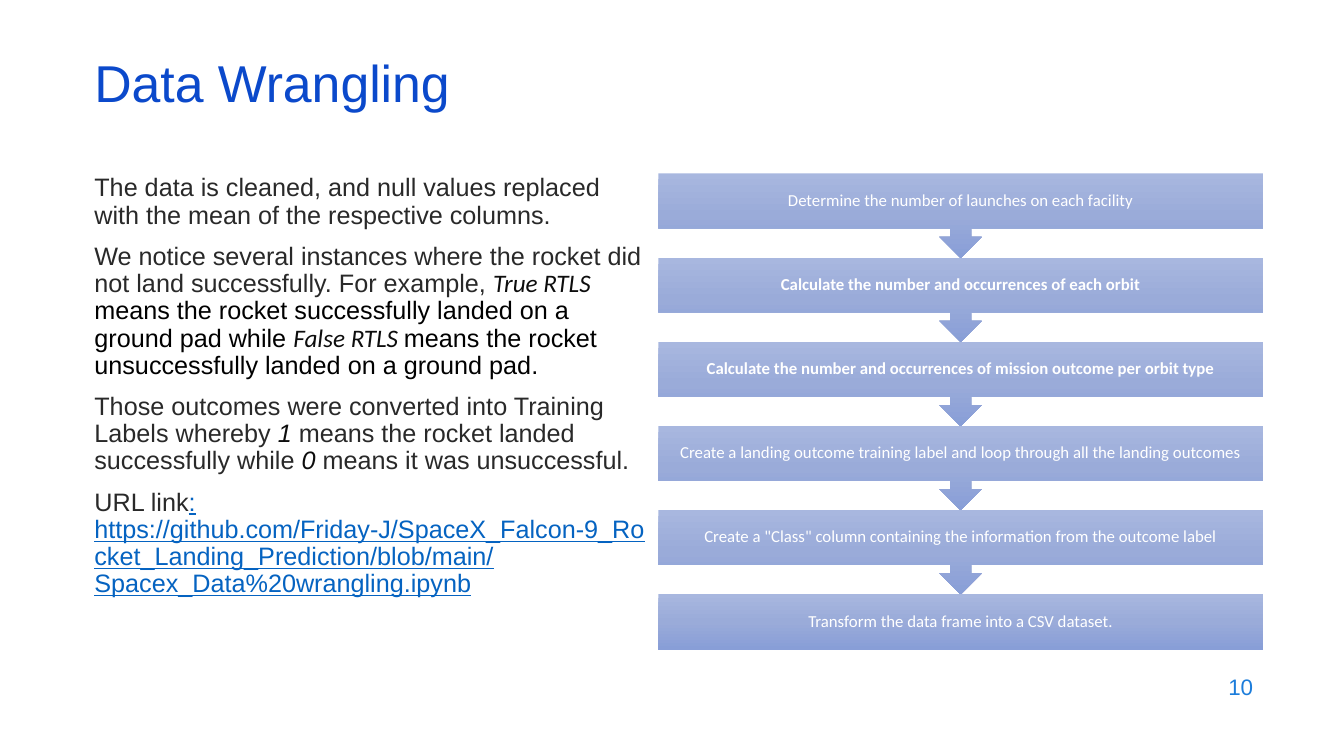
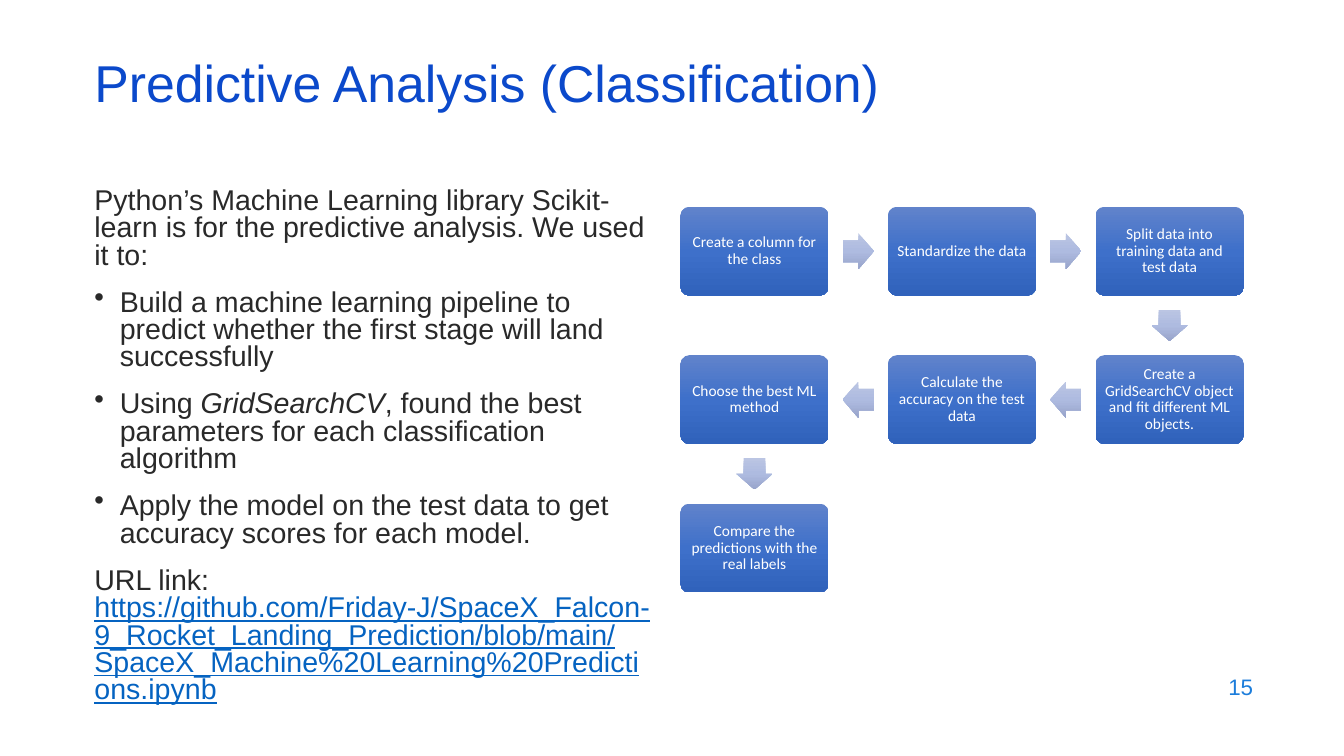
from copy import deepcopy

from lxml.etree import SubElement
from pptx import Presentation
from pptx.dml.color import RGBColor
from pptx.enum.shapes import MSO_SHAPE as Preset
from pptx.enum.text import MSO_ANCHOR as Anchor, PP_ALIGN as Align
from pptx.oxml.ns import qn
from pptx.util import Cm, Pt

# Shared look
FONT, DIAGRAM_FONT = "Arial", "Calibri"
TITLE, NUMBER, BODY, WHITE = "0B49CB", "1C7DDB", "292929", "FFFFFF"
STEP_GRADIENT = ("A8B7DF", "9AABD9", "889ED7")
CARD_GRADIENT = ("6183CB", "3E70CA", "3062BB")
ARROW_GRADIENT = ("BBC5E3", "AEBBE0", "98A4CB")
LEFT = 2.13
BULLET_INDENT = Cm(0.64)

# Run styles used inside body text
RUN_STYLES = {
    "term": {"name": DIAGRAM_FONT, "color": "0D0D0D", "italic": True},
    "black": {"color": "000000"},
    "label": {"color": "0D0D0D", "italic": True},
    "italic": {"italic": True},
    "link": {"color": "0563C1", "underline": True},
}

# Content: a paragraph is (is_bullet, runs), a run is (text, style)
WRANGLING_TEXT = [
    (False, [("The data is cleaned, and null values replaced with the mean "
              "of the respective columns.", None)]),
    (False, [("We notice several instances where the rocket did not land "
              "successfully. For example, ", None),
             ("True RTLS ", "term"),
             ("means the rocket successfully landed on a ground pad while ",
              "black"),
             ("False RTLS ", "term"),
             ("means the rocket unsuccessfully landed on a ground pad.",
              "black")]),
    (False, [("Those outcomes were converted into Training Labels whereby ",
              None),
             ("1", "label"),
             (" means the rocket landed successfully while ", None),
             ("0", "label"),
             (" means it was unsuccessful.", None)]),
    (False, [("URL link", None),
             (": https://github.com/Friday-J/SpaceX_Falcon-9_Rocket_Landing_"
              "Prediction/blob/main/Spacex_Data%20wrangling.ipynb", "link")]),
]
WRANGLING_STEPS = [
    ("Determine the number of launches on each facility", False),
    ("Calculate the number and occurrences of each orbit", True),
    ("Calculate the number and occurrences of mission outcome per orbit type",
     True),
    ("Create a landing outcome training label and loop through all the "
     "landing outcomes", False),
    ('Create a "Class" column containing the information from the outcome '
     "label", False),
    ("Transform the data frame into a CSV dataset.", False),
]
ANALYSIS_TEXT = [
    (False, [("Python’s Machine Learning library Scikit-learn is for the "
              "predictive analysis. We used it to:", None)]),
    (True, [("Build a machine learning pipeline to predict whether the first "
             "stage will land successfully", None)]),
    (True, [("Using ", None), ("GridSearchCV", "italic"),
            (", found the best parameters for each classification algorithm",
             None)]),
    (True, [("Apply the model on the test data to get accuracy scores for "
             "each model.", None)]),
    (False, [("URL link: ", None),
             ("https://github.com/Friday-J/SpaceX_Falcon-9_Rocket_Landing_"
              "Prediction/blob/main/SpaceX_Machine%20Learning%20Predictions"
              ".ipynb", "link")]),
]
ANALYSIS_CARDS = [
    "Create a column for the class",
    "Standardize the data",
    "Split data into training data and test data",
    "Create a GridSearchCV object and fit different ML objects.",
    "Calculate the accuracy on the test data",
    "Choose the best ML method",
    "Compare the predictions with the real labels",
]


def rgb(value):
    return RGBColor.from_string(value)


def set_font(font, name=None, size=None, color=None, **flags):
    if name:
        font.name = name
    if size:
        font.size = Pt(size)
    if color:
        font.color.rgb = rgb(color)
    for flag, value in flags.items():
        setattr(font, flag, value)


def add_text_box(slide, left, top, width, height, anchor=Anchor.TOP):
    box = slide.shapes.add_textbox(Cm(left), Cm(top), Cm(width), Cm(height))
    frame = box.text_frame
    frame.word_wrap = True
    frame.vertical_anchor = anchor
    return frame


def add_line(slide, place, text, size, color, align, spacing):
    """One vertically centred line, for titles and slide numbers."""
    paragraph = add_text_box(slide, *place, Anchor.MIDDLE).paragraphs[0]
    paragraph.text = text
    paragraph.alignment = align
    paragraph.line_spacing = spacing
    set_font(paragraph.font, FONT, size, color)


def add_slide(presentation, title, number):
    slide = presentation.slides.add_slide(presentation.slide_layouts[6])
    add_line(slide, (LEFT, 1.5, 29.21, 1.52), title, 37, TITLE,
             Align.LEFT, 0.7)
    add_line(slide, (24.21, 16.74, 7.62, 1.12), number, 16, NUMBER,
             Align.RIGHT, 1.0)
    return slide


def add_bullet(paragraph):
    properties = paragraph._p.get_or_add_pPr()
    properties.set("marL", str(BULLET_INDENT))
    properties.set("indent", str(-BULLET_INDENT))
    SubElement(properties, qn("a:buChar"), char="•")


def add_body(slide, place, content, size, line_spacing, gap):
    frame = add_text_box(slide, *place)
    for index, (is_bullet, runs) in enumerate(content):
        paragraph = frame.add_paragraph() if index else frame.paragraphs[0]
        paragraph.line_spacing = line_spacing
        if index:
            paragraph.space_before = Pt(gap)
        if is_bullet:
            add_bullet(paragraph)
        set_font(paragraph.font, FONT, size, BODY)
        for text, style in runs:
            run = paragraph.add_run()
            run.text = text
            if style:
                set_font(run.font, **RUN_STYLES[style])


def add_gradient_shape(slide, preset, place, colors):
    """Borderless shape with a top-to-bottom gradient of three colours."""
    shape = slide.shapes.add_shape(preset, *(Cm(length) for length in place))
    shape.shadow.inherit = False
    shape.line.fill.background()
    shape.fill.gradient()
    shape.fill.gradient_angle = 270
    stop_list = next(shape._element.spPr.iter(qn("a:gsLst")))
    stop_list.insert(1, deepcopy(stop_list[0]))
    for index, stop in enumerate(shape.fill.gradient_stops):
        stop.color.rgb = rgb(colors[index])
        stop.position = index / 2
    return shape


def add_label(shape, text, size, inset, bold=False):
    frame = shape.text_frame
    frame.word_wrap = True
    frame.vertical_anchor = Anchor.MIDDLE
    frame.margin_left = frame.margin_right = Cm(inset)
    frame.margin_top = frame.margin_bottom = Cm(inset)
    paragraph = frame.paragraphs[0]
    paragraph.text = text
    paragraph.alignment = Align.CENTER
    paragraph.line_spacing = 0.9
    set_font(paragraph.font, DIAGRAM_FONT, size, WHITE, bold=bold)


def add_step_flow(slide, steps):
    """Stacked bars; every bar but the last points down to the next."""
    left, top, width, pitch = 16.59, 4.37, 15.24, 2.12
    for index, (text, bold) in enumerate(steps):
        is_last = index == len(steps) - 1
        preset = Preset.RECTANGLE if is_last else Preset.DOWN_ARROW_CALLOUT
        height = 1.4 if is_last else 2.13
        shape = add_gradient_shape(
            slide, preset, (left, top + index * pitch, width, height),
            STEP_GRADIENT)
        add_label(shape, text, 12, 0.23, bold)


def add_block_arrow(slide, start, end):
    """Block arrow halfway between two card centres."""
    length, breadth = 0.79, 0.91
    (x1, y1), (x2, y2) = start, end
    if x1 == x2:
        preset, width, height = Preset.DOWN_ARROW, breadth, length
    else:
        preset = Preset.RIGHT_ARROW if x2 > x1 else Preset.LEFT_ARROW
        width, height = length, breadth
    place = ((x1 + x2 - width) / 2, (y1 + y2 - height) / 2, width, height)
    arrow = add_gradient_shape(slide, preset, place, ARROW_GRADIENT)
    arrow.adjustments[0] = 0.6
    arrow.adjustments[1] = 0.5


def add_snake_flow(slide, cards, columns=3):
    """Cards in rows that run right, then left, joined by block arrows."""
    left, top, width, height = 17.15, 5.21, 3.73, 2.24
    column_pitch, row_pitch = 5.23, 3.74
    previous = None
    for index, text in enumerate(cards):
        row, column = divmod(index, columns)
        if row % 2:
            column = columns - 1 - column
        x, y = left + column * column_pitch, top + row * row_pitch
        center = (x + width / 2, y + height / 2)
        if previous:
            add_block_arrow(slide, previous, center)
        card = add_gradient_shape(slide, Preset.ROUNDED_RECTANGLE,
                                  (x, y, width, height), CARD_GRADIENT)
        card.adjustments[0] = 0.1
        add_label(card, text, 11, 0.12)
        previous = center


def main():
    presentation = Presentation()
    presentation.slide_width = Cm(33.87)
    presentation.slide_height = Cm(19.05)

    # Data wrangling
    slide = add_slide(presentation, "Data Wrangling", "10")
    add_body(slide, (LEFT, 4.29, 14.45, 12.45), WRANGLING_TEXT, 18, 0.9, 10)
    add_step_flow(slide, WRANGLING_STEPS)

    # Predictive analysis
    slide = add_slide(presentation, "Predictive Analysis (Classification)",
                      "15")
    add_body(slide, (LEFT, 4.62, 14.6, 12.09), ANALYSIS_TEXT, 20.4, 0.8, 14)
    add_snake_flow(slide, ANALYSIS_CARDS)

    presentation.save("out.pptx")


if __name__ == "__main__":
    main()
